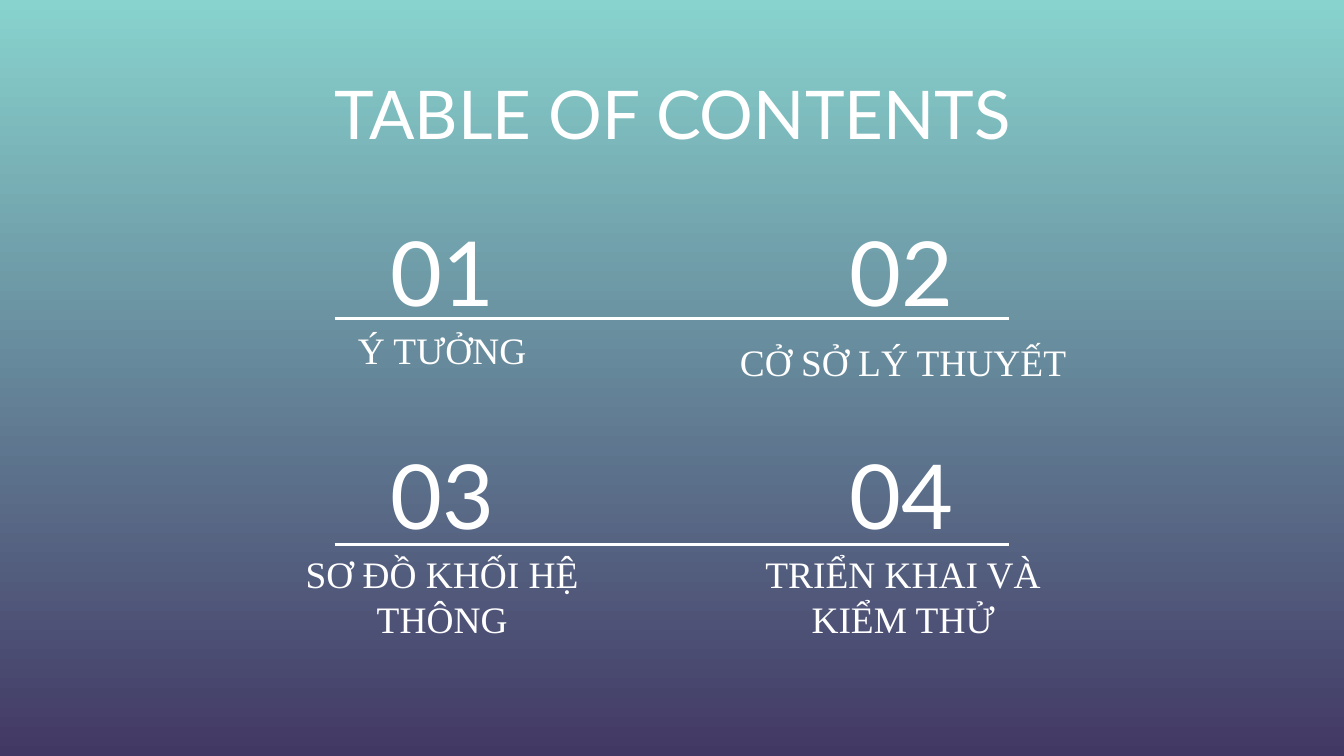
import pptx
import pptx.dml.color
import pptx.enum.shapes
import pptx.enum.text
import pptx.util
from lxml import etree

Inches = pptx.util.Inches
Anchor = pptx.enum.text.MSO_ANCHOR

# Content
TITLE = "TABLE OF CONTENTS"
# number, label, column, row, top of the label
SECTIONS = [
    ("01", "Ý TƯỞNG", 0, 0, 2.24),
    ("02", "CỞ SỞ LÝ THUYẾT", 1, 0, 2.33),
    ("03", "SƠ ĐỒ KHỐI HỆ THÔNG", 0, 1, 4.24),
    ("04", "TRIỂN KHAI VÀ KIỂM THỬ", 1, 1, 4.24),
]

# Layout and style
NUMBER_LEFT, NUMBER_TOP, NUMBER_WIDTH = 2.33, 1.7, 1.92
LABEL_LEFT, LABEL_WIDTH = 1.85, 2.88
NUMBER_STEP, LABEL_STEP, ROW_STEP = 3.42, 3.43, 1.66
BOX_HEIGHT = 0.63
RULE_LEFT, RULE_RIGHT, RULE_TOPS = 2.49, 7.51, (2.37, 4.05)
WHITE = "FFFFFF"
GRADIENT = ("88D3CE", "423864")


def color(value):
    return pptx.dml.color.RGBColor.from_string(value)


def add_text(page, text, left, top, width, height, font, size, anchor):
    box = page.shapes.add_textbox(Inches(left), Inches(top), Inches(width), Inches(height))
    frame = box.text_frame
    frame.word_wrap = True
    frame.vertical_anchor = anchor
    frame.margin_left = frame.margin_right = Inches(0.1)
    frame.margin_top = frame.margin_bottom = Inches(0.1)
    para = frame.paragraphs[0]
    para.text = text
    para.alignment = pptx.enum.text.PP_ALIGN.CENTER
    para.font.name = font
    para.font.size = pptx.util.Pt(size)
    para.font.color.rgb = color(WHITE)


def add_rule(page, top):
    rule = page.shapes.add_connector(
        pptx.enum.shapes.MSO_CONNECTOR.STRAIGHT,
        Inches(RULE_LEFT), Inches(top), Inches(RULE_RIGHT), Inches(top))
    rule.line.color.rgb = color(WHITE)
    rule.line.width = pptx.util.Pt(1.5)
    etree.SubElement(rule._element.spPr, pptx.oxml.ns.qn("a:effectLst"))


def main():
    # A 16:9 slide
    deck = pptx.Presentation()
    deck.slide_width = Inches(10)
    deck.slide_height = deck.slide_width * 9 // 16
    page = deck.slides.add_slide(deck.slide_layouts[6])

    # Background, top to bottom
    fill = page.background.fill
    fill.gradient()
    fill.gradient_angle = 270
    for stop, value in zip(fill.gradient_stops, GRADIENT):
        stop.color.rgb = color(value)

    # Title
    add_text(page, TITLE, 1.23, 0.44, 7.55, 1.03, "Lato", 36, Anchor.TOP)

    # Rules under the numbers
    for top in RULE_TOPS:
        add_rule(page, top)

    # Numbers and labels
    for number, label, column, row, label_top in SECTIONS:
        add_text(page, number,
                 NUMBER_LEFT + column * NUMBER_STEP, NUMBER_TOP + row * ROW_STEP,
                 NUMBER_WIDTH, BOX_HEIGHT, "Lato", 48, Anchor.MIDDLE)
        add_text(page, label, LABEL_LEFT + column * LABEL_STEP, label_top,
                 LABEL_WIDTH, BOX_HEIGHT, "Times New Roman", 20, Anchor.BOTTOM)

    deck.save("out.pptx")


if __name__ == "__main__":
    main()
